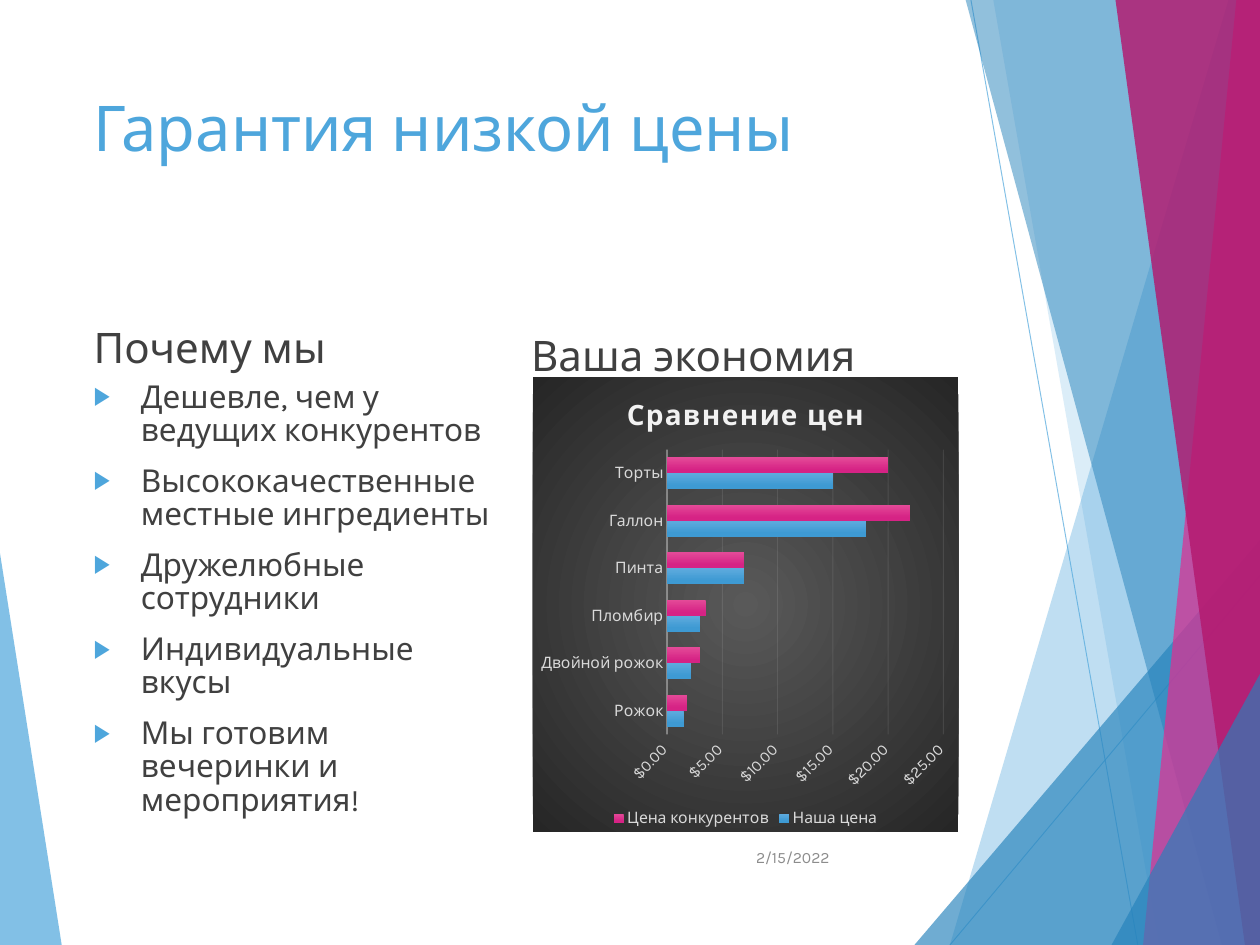
import pptx
import pptx.chart.data
import pptx.dml.color
import pptx.enum.chart
import pptx.enum.shapes
import pptx.enum.text
import pptx.oxml
import pptx.oxml.ns
import pptx.util
import lxml.etree

Pt = pptx.util.Pt
rgb = pptx.dml.color.RGBColor.from_string
qn = pptx.oxml.ns.qn
anchors = pptx.enum.text.MSO_ANCHOR
aligns = pptx.enum.text.PP_ALIGN
WIDTH, HEIGHT = 959, 719.3
COLORS = {
    "sky": "4EA6DC", "ocean": "2582BB", "pink": "E32D91", "berry": "B4186E",
    "text": "404040", "date": "8C8C8C", "label": "D9D9D9", "pale": "F2F2F2",
    "chart_center": "595959", "chart_rim": "262626",
    "our_top": "5FABDE", "our_bottom": "3E9AD3",
    "rival_top": "E44A98", "rival_bottom": "D62385",
}


def style_font(font, size, color, bold=False):
    for name, value in {"name": "Karla", "size": Pt(size), "bold": bold}.items():
        setattr(font, name, value)
    font.color.rgb = rgb(COLORS[color])


def fade(element, percent):
    for color in element.iter(qn("a:srgbClr")):
        lxml.etree.SubElement(color, qn("a:alpha"), val=str(percent * 1000))


deck = pptx.Presentation()
deck.slide_width, deck.slide_height = Pt(WIDTH), Pt(HEIGHT)
page = deck.slides.add_slide(deck.slide_layouts[4])

rays = [
    (723, HEIGHT, WIDTH, 438),
    (739, 0, 866, HEIGHT),
]
for x1, y1, x2, y2 in rays:
    ray = page.shapes.add_connector(
        pptx.enum.shapes.MSO_CONNECTOR.STRAIGHT, Pt(x1), Pt(y1), Pt(x2), Pt(y2))
    ray.line.width = Pt(0.75)
    ray.line.color.rgb = rgb(COLORS["sky"])
    properties = ray.element.spPr
    fade(properties, 70)
    lxml.etree.SubElement(properties, qn("a:effectLst"))

facets = [
    (0, 421, 47, HEIGHT, 0, "sky", 70),
    (935, 0, 723, HEIGHT, WIDTH, "sky", 36),
    (756, 0, 882, HEIGHT, WIDTH, "sky", 20),
    (696, HEIGHT, WIDTH, 411, WIDTH, "ocean", 66),
    (735, 0, 930, HEIGHT, WIDTH, "ocean", 50),
    (941, 0, 870, HEIGHT, WIDTH, "pink", 70),
    (849, 0, 947.5, HEIGHT, WIDTH, "berry", 82),
    (846, HEIGHT, WIDTH, 513, WIDTH, "ocean", 66),
]
for x1, y1, x2, y2, edge, color, opacity in facets:
    outline = page.shapes.build_freeform(Pt(x1), Pt(y1))
    outline.add_line_segments(
        [(Pt(x2), Pt(y2)), (Pt(edge), Pt(y2)), (Pt(edge), Pt(y1))])
    facet = outline.convert_to_shape()
    facet.shadow.inherit = False
    facet.fill.solid()
    facet.fill.fore_color.rgb = rgb(COLORS[color])
    facet.line.fill.background()
    fade(facet.element.spPr, opacity)

title, left_heading, reasons, right_heading, spare = page.placeholders
spare.element.getparent().remove(spare.element)
date = page.shapes.add_textbox(0, 0, 0, 0)

texts = [
    (title, (64, 64, 666, 138), ["Гарантия низкой цены"],
     48, "sky", anchors.TOP, aligns.LEFT, 0, 1),
    (left_heading, (64, 227, 324, 60), ["Почему мы"],
     32, "text", anchors.BOTTOM, aligns.LEFT, 13.3, 1),
    (reasons, (64, 287, 324, 346),
     ["Дешевле, чем у ведущих конкурентов",
      "Высококачественные местные ингредиенты",
      "Дружелюбные сотрудники",
      "Индивидуальные вкусы",
      "Мы готовим вечеринки и мероприятия!"],
     24, "text", anchors.TOP, aligns.LEFT, 13.3, 0.88),
    (right_heading, (397, 233, 322, 60), ["Ваша экономия"],
     32, "text", anchors.BOTTOM, aligns.LEFT, 13.3, 1),
    (date, (566.6, 633.6, 72, 38), ["2/15/2022"],
     12, "date", anchors.MIDDLE, aligns.RIGHT, 0, 1),
]
for box, place, lines, size, color, anchor, align, before, spacing in texts:
    for side, length in zip(("left", "top", "width", "height"), place):
        setattr(box, side, Pt(length))
    frame = box.text_frame
    frame.text = "\n".join(lines)
    frame_format = {"word_wrap": True, "vertical_anchor": anchor,
                    "auto_size": pptx.enum.text.MSO_AUTO_SIZE.NONE}
    for name, value in frame_format.items():
        setattr(frame, name, value)
    para_format = {"alignment": align, "space_before": Pt(before),
                   "line_spacing": spacing}
    for para in frame.paragraphs:
        for name, value in para_format.items():
            setattr(para, name, value)
        for span in para.runs:
            style_font(span.font, size, color)

for para in reasons.text_frame.paragraphs:
    layout = para._p.get_or_add_pPr()
    layout.set("marL", str(Pt(36)))
    layout.set("indent", str(-Pt(36)))
    bullet_color = lxml.etree.SubElement(layout, qn("a:buClr"))
    lxml.etree.SubElement(bullet_color, qn("a:srgbClr"), val=COLORS["sky"])
    lxml.etree.SubElement(layout, qn("a:buSzPct"), val="80000")
    lxml.etree.SubElement(layout, qn("a:buFont"), typeface="Arial")
    lxml.etree.SubElement(layout, qn("a:buChar"), char="▶")

prices = pptx.chart.data.CategoryChartData()
prices.categories = ["Рожок", "Двойной рожок", "Пломбир", "Пинта", "Галлон", "Торты"]
prices.add_series("Наша цена", (1.5, 2.2, 3, 7, 18, 15))
prices.add_series("Цена конкурентов", (1.8, 3, 3.5, 7, 22, 20))
chart = page.shapes.add_chart(
    pptx.enum.chart.XL_CHART_TYPE.BAR_CLUSTERED,
    Pt(405.5), Pt(287), Pt(324), Pt(346), prices).chart
style_font(chart.font, 12, "label")

chart.has_title = True
heading = chart.chart_title.text_frame
heading.text = "Сравнение цен"
heading_span = heading.paragraphs[0].runs[0]
style_font(heading_span.font, 21.3, "pale", True)
heading_span._r.get_or_add_rPr().set("spc", "100")

chart.has_legend = True
chart.legend.position = pptx.enum.chart.XL_LEGEND_POSITION.BOTTOM
chart.legend.include_in_layout = False
style_font(chart.legend.font, 12, "label")

plot = chart.plots[0]
for name, value in {"gap_width": 100, "overlap": 0, "vary_by_categories": False}.items():
    setattr(plot, name, value)
for series, owner in zip(plot.series, ("our", "rival")):
    fill = series.format.fill
    fill.gradient()
    fill.gradient_angle = 270
    for stop, end, position in zip(fill.gradient_stops, ("top", "bottom"), (0, 0.78)):
        stop.color.rgb = rgb(COLORS[f"{owner}_{end}"])
        stop.position = position

items, amounts = chart.category_axis, chart.value_axis
for axis in (items, amounts):
    axis.major_tick_mark = pptx.enum.chart.XL_TICK_MARK.NONE
    style_font(axis.tick_labels.font, 12, "label")
items.format.line.width = Pt(1)
items.format.line.color.rgb = rgb(COLORS["pale"])
amounts.format.line.fill.background()
for name, value in {"minimum_scale": 0, "maximum_scale": 25, "major_unit": 5}.items():
    setattr(amounts, name, value)
amounts.tick_labels.number_format = '"$"#,##0.00_);[Red]\\("$"#,##0.00\\)'
amounts.tick_labels.number_format_is_linked = False
grid_line = amounts.major_gridlines.format.line
grid_line.width = Pt(0.75)
grid_line.color.rgb = rgb(COLORS["pale"])

space = chart.element
fade(space.xpath(".//c:catAx/c:spPr")[0], 54)
fade(space.xpath(".//c:majorGridlines")[0], 10)
space.xpath(".//c:valAx/c:txPr/a:bodyPr")[0].set("rot", "-2700000")
backdrop = pptx.oxml.parse_xml(
    f'<c:spPr {pptx.oxml.ns.nsdecls("c", "a")}><a:gradFill><a:gsLst>'
    f'<a:gs pos="0"><a:srgbClr val="{COLORS["chart_center"]}"/></a:gs>'
    f'<a:gs pos="100000"><a:srgbClr val="{COLORS["chart_rim"]}"/></a:gs>'
    '</a:gsLst><a:path path="circle"><a:fillToRect l="50000" t="50000" r="50000" '
    'b="50000"/></a:path></a:gradFill><a:ln><a:noFill/></a:ln></c:spPr>')
space.xpath("./c:txPr")[0].addprevious(backdrop)

deck.save("out.pptx")
